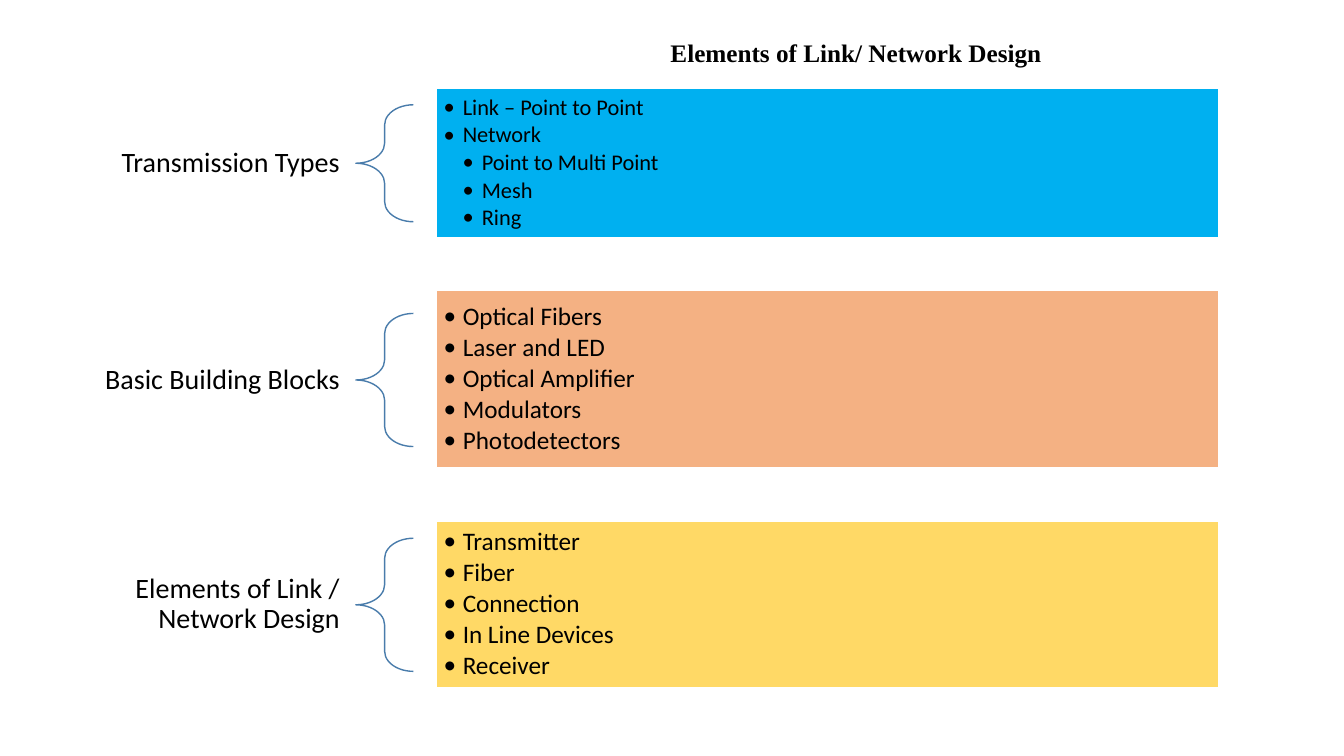
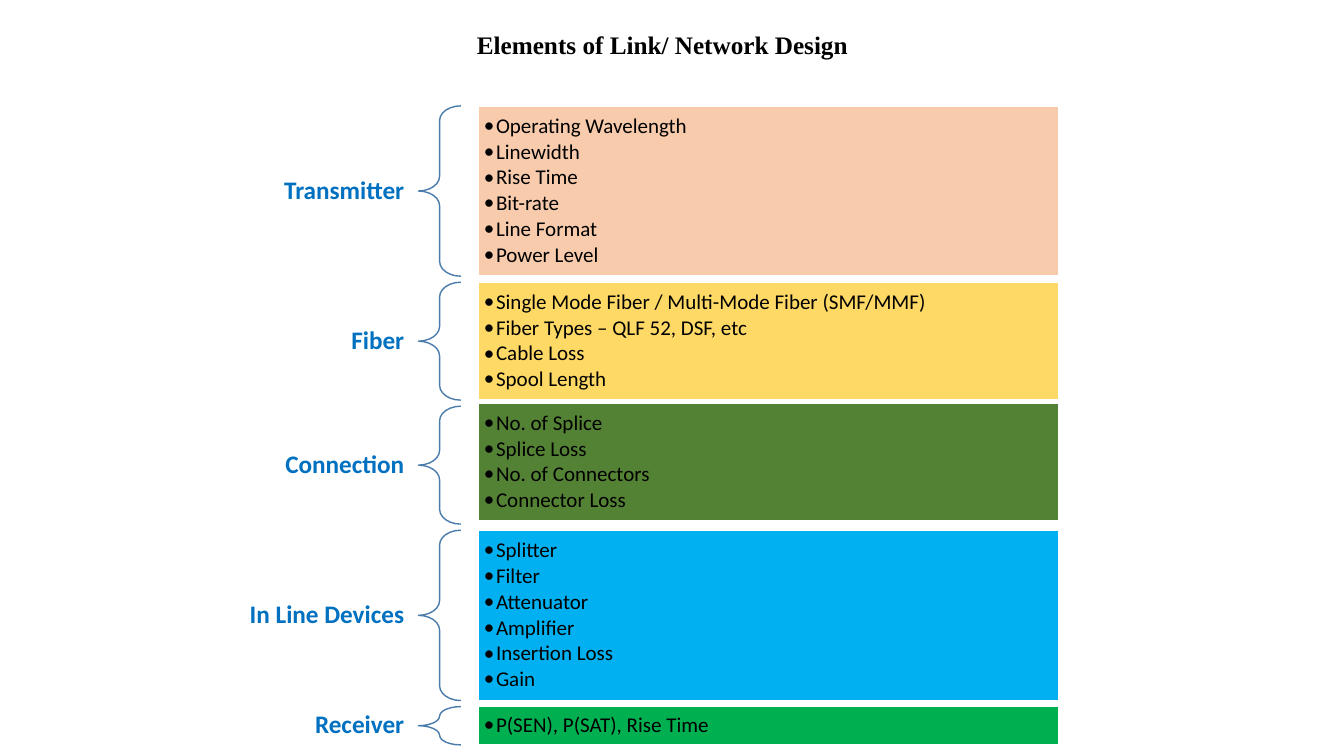
from dataclasses import dataclass

from pptx import Presentation
from pptx.dml.color import RGBColor
from pptx.enum.shapes import MSO_SHAPE as Shape
from pptx.enum.text import MSO_ANCHOR as Anchor, MSO_AUTO_SIZE as AutoSize, PP_ALIGN as Align
from pptx.oxml.ns import qn
from pptx.util import Pt

PX = 9144
SLIDE_WIDTH, SLIDE_HEIGHT = 1333, 750
TITLE_LAYOUT = 5

BLACK = RGBColor(0x00, 0x00, 0x00)
WHITE = RGBColor(0xFF, 0xFF, 0xFF)
BLUE = RGBColor(0x00, 0x70, 0xC0)
BRACE_BLUE = RGBColor(0x49, 0x7C, 0xAB)
SKY = RGBColor(0x00, 0xB0, 0xF0)
ORANGE = RGBColor(0xF4, 0xB1, 0x83)
PEACH = RGBColor(0xF8, 0xCB, 0xAD)
YELLOW = RGBColor(0xFF, 0xD9, 0x66)
OLIVE = RGBColor(0x54, 0x82, 0x35)
GREEN = RGBColor(0x00, 0xB0, 0x50)

TITLE = "Elements of Link/ Network Design"
TITLE_FONT = "Times New Roman"
BODY_FONT = "Calibri"
LINE_SPACING = 0.9
ITEM_GAP = 0.15


@dataclass
class ListStyle:
    label_left: int
    label_width: int
    label_insets: tuple
    label_size: int
    label_color: RGBColor
    label_bold: bool
    brace_width: int
    box_left: int
    box_width: int
    box_inset: int
    indent: int


OVERVIEW = ListStyle(68, 285, (16, 6), 20, BLACK, False, 57, 433, 776, 7, 19)
DETAIL = ListStyle(203, 212, (14, 5), 18, BLUE, True, 42, 474, 576, 6, 12)

OVERVIEW_ROWS = [
    ("Transmission Types", 32, (104, 116), (88, 148), SKY, 16,
     [(1, "Link – Point to Point"), (1, "Network"), (2, "Point to Multi Point"),
      (2, "Mesh"), (2, "Ring")]),
    ("Basic Building Blocks", 279, (311, 132), (288, 176), ORANGE, 18,
     [(1, "Optical Fibers"), (1, "Laser and LED"), (1, "Optical Amplifier"),
      (1, "Modulators"), (1, "Photodetectors")]),
    ("Elements of Link / Network Design", 133, (534, 132), (517, 165), YELLOW, 18,
     [(1, "Transmitter"), (1, "Fiber"), (1, "Connection"),
      (1, "In Line Devices"), (1, "Receiver")]),
]

DETAIL_TOP, DETAIL_GAP = 105, 6
DETAIL_LABEL_HEIGHT, DETAIL_SIZE = 38, 15
DETAIL_ROWS = [
    ("Transmitter", 169, 0, PEACH,
     ["Operating Wavelength", "Linewidth", "Rise Time", "Bit-rate", "Line Format",
      "Power Level"]),
    ("Fiber", 117, 0, YELLOW,
     ["Single Mode Fiber / Multi-Mode Fiber (SMF/MMF)",
      "Fiber Types – QLF 52, DSF, etc", "Cable Loss", "Spool Length"]),
    ("Connection", 117, -3, OLIVE,
     ["No. of Splice", "Splice Loss", "No. of Connectors", "Connector Loss"]),
    ("In Line Devices", 169, 0, SKY,
     ["Splitter", "Filter", "Attenuator", "Amplifier", "Insertion Loss", "Gain"]),
    ("Receiver", 38, 0, GREEN, ["P(SEN), P(SAT), Rise Time"]),
]


def scaled(*lengths):
    return [round(length * PX) for length in lengths]


def format_font(font, name, size, color, bold=False):
    font.name = name
    font.size = Pt(size)
    font.color.rgb = color
    font.bold = bold


def set_frame(frame, horizontal, vertical, anchor):
    frame.word_wrap = True
    frame.auto_size = AutoSize.NONE
    frame.vertical_anchor = anchor
    frame.margin_left, frame.margin_right = scaled(horizontal, horizontal)
    frame.margin_top, frame.margin_bottom = scaled(vertical, vertical)


def add_titled_slide(deck, left, top):
    page = deck.slides.add_slide(deck.slide_layouts[TITLE_LAYOUT])
    title = page.shapes.title
    title.left, title.top, title.width, title.height = scaled(left, top, 427, 40)
    frame = title.text_frame
    set_frame(frame, 10, 5, Anchor.TOP)
    frame.text = TITLE
    para = frame.paragraphs[0]
    para.alignment = Align.LEFT
    format_font(para.runs[0].font, TITLE_FONT, 18, BLACK, True)
    return page


def add_label(page, style, text, center, height):
    box = page.shapes.add_textbox(
        *scaled(style.label_left, center - height / 2, style.label_width, height))
    frame = box.text_frame
    set_frame(frame, *style.label_insets, Anchor.MIDDLE)
    frame.text = text
    para = frame.paragraphs[0]
    para.alignment = Align.RIGHT
    para.line_spacing = LINE_SPACING
    format_font(para.runs[0].font, BODY_FONT, style.label_size, style.label_color,
                style.label_bold)


def add_brace(page, style, top, height):
    left = style.label_left + style.label_width
    brace = page.shapes.add_shape(
        Shape.LEFT_BRACE, *scaled(left, top, style.brace_width, height))
    brace.adjustments[0] = 0.35
    brace.adjustments[1] = 0.5
    brace.shadow.inherit = False
    brace.fill.background()
    brace.line.color.rgb = BRACE_BLUE
    brace.line.width = Pt(1)


def add_bullet(para, level, indent):
    properties = para._p.get_or_add_pPr()
    margin, hanging = scaled(level * indent, -indent)
    properties.set("marL", str(margin))
    properties.set("indent", str(hanging))
    for tag, attributes in (("a:buFont", {"typeface": BODY_FONT}),
                            ("a:buChar", {"char": "•"})):
        properties.append(properties.makeelement(qn(tag), attributes))


def add_list_box(page, style, top, height, color, size, items):
    box = page.shapes.add_shape(
        Shape.RECTANGLE, *scaled(style.box_left, top, style.box_width, height))
    box.shadow.inherit = False
    box.fill.solid()
    box.fill.fore_color.rgb = color
    box.line.color.rgb = WHITE
    box.line.width = Pt(1)
    frame = box.text_frame
    set_frame(frame, style.box_inset, style.box_inset, Anchor.MIDDLE)
    for index, (level, text) in enumerate(items):
        para = frame.add_paragraph() if index else frame.paragraphs[0]
        para.text = text
        add_bullet(para, level, style.indent)
        para.level = level
        para.alignment = Align.LEFT
        para.line_spacing = LINE_SPACING
        para.space_after = Pt(size * ITEM_GAP)
        format_font(para.runs[0].font, BODY_FONT, size, BLACK)


def add_row(page, style, label, label_height, brace, box, color, size, items):
    top, height = brace
    add_label(page, style, label, top + height / 2, label_height)
    add_brace(page, style, top, height)
    add_list_box(page, style, *box, color, size, items)


def build_overview(deck):
    page = add_titled_slide(deck, 655, 32)
    for row in OVERVIEW_ROWS:
        add_row(page, OVERVIEW, *row)


def build_detail(deck):
    page = add_titled_slide(deck, 463, 24)
    top = DETAIL_TOP
    for label, height, shift, color, texts in DETAIL_ROWS:
        items = [(1, text) for text in texts]
        add_row(page, DETAIL, label, DETAIL_LABEL_HEIGHT, (top, height),
                (top + shift, height), color, DETAIL_SIZE, items)
        top += height + DETAIL_GAP


def main():
    deck = Presentation()
    deck.slide_width, deck.slide_height = scaled(SLIDE_WIDTH, SLIDE_HEIGHT)
    build_overview(deck)
    build_detail(deck)
    deck.save("out.pptx")


if __name__ == "__main__":
    main()
